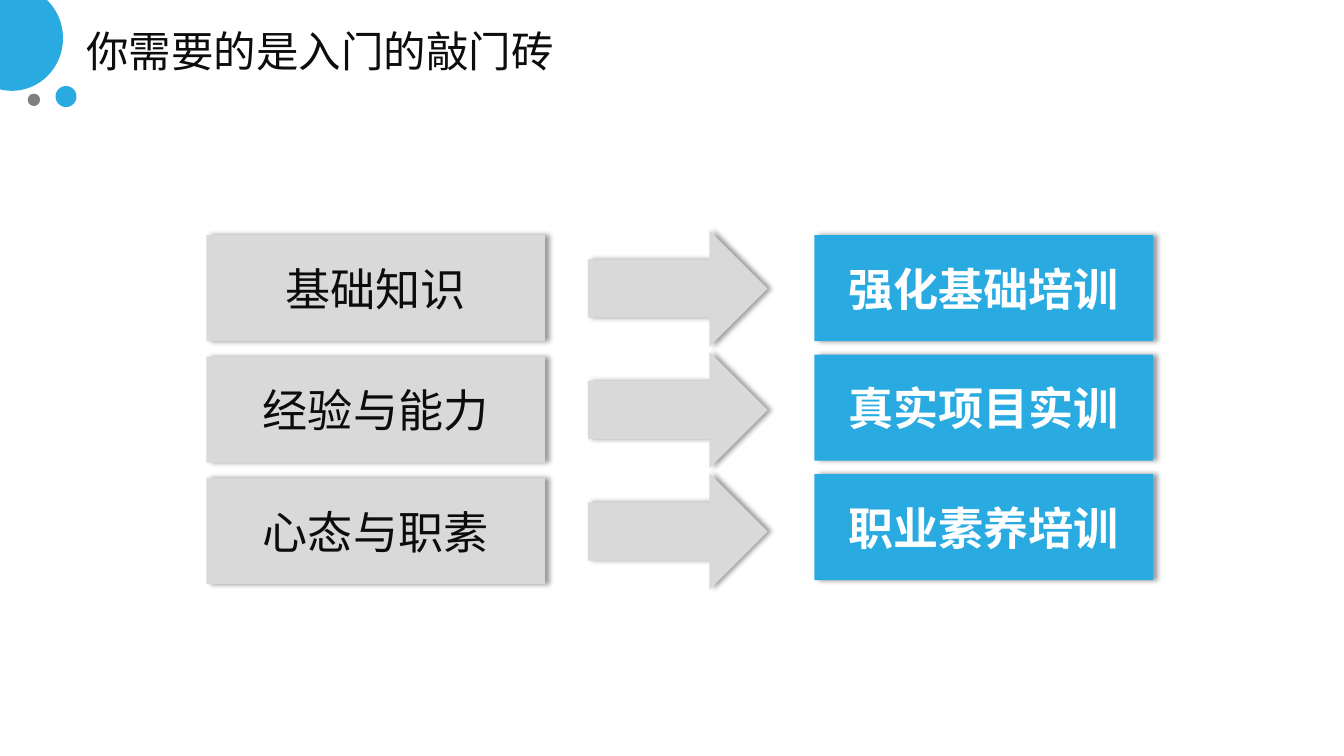
from dataclasses import dataclass

from lxml.etree import SubElement
from pptx import Presentation
from pptx.dml.color import RGBColor
from pptx.enum.shapes import MSO_SHAPE
from pptx.enum.text import MSO_ANCHOR, MSO_AUTO_SIZE, PP_ALIGN
from pptx.oxml.ns import qn
from pptx.shapes.autoshape import Shape
from pptx.slide import Slide
from pptx.text.text import TextFrame
from pptx.util import Inches, Pt

WIDE, HIGH = Inches(14.06), Inches(7.91)
BLUE, GREY, SILVER = "29ABE2", "808080", "D9D9D9"
HAN = "Noto Sans CJK SC"


@dataclass(frozen=True)
class Area:
    """A place on the slide, in percent of its width and height."""
    left: float
    top: float
    width: float
    height: float

    def scale(self) -> tuple[int, int, int, int]:
        return (round(WIDE * self.left / 100), round(HIGH * self.top / 100),
                round(WIDE * self.width / 100), round(HIGH * self.height / 100))


@dataclass(frozen=True)
class Dot:
    area: Area
    fill: str


@dataclass(frozen=True)
class Column:
    """Equal shapes stacked at a fixed pitch, one for each label."""
    kind: MSO_SHAPE
    first: Area
    pitch: float
    fill: str
    labels: tuple[str, ...]
    ink: str = "0C0C0C"
    bold: bool = False


DOTS = (
    Dot(Area(-2.92, -1.9, 7.61, 13.91), BLUE),
    Dot(Area(4.13, 11.38, 1.56, 2.78), BLUE),
    Dot(Area(2.06, 12.39, 0.92, 1.64), GREY),
)
NEEDS = Column(MSO_SHAPE.RECTANGLE, Area(15.36, 31.1, 25.18, 14.03), 16.06, SILVER,
               ("基础知识", "经验与能力", "心态与职素"))
ARROWS = Column(MSO_SHAPE.RIGHT_ARROW, Area(43.74, 30.47, 13.37, 15.42), 16.06, SILVER,
                ("",) * 3)
COURSES = Column(MSO_SHAPE.RECTANGLE, Area(60.6, 31.1, 25.18, 14.03), 15.8, BLUE,
                 ("强化基础培训", "真实项目实训", "职业素养培训"), "FFFFFF", True)


def color(code: str) -> RGBColor:
    return RGBColor.from_string(code)


def write(frame: TextFrame, text: str, size: float, face: str, ink: str,
          align: PP_ALIGN, bold: bool = False) -> None:
    frame.word_wrap = True
    frame.vertical_anchor = MSO_ANCHOR.MIDDLE
    line = frame.paragraphs[0]
    line.alignment = align
    run = line.add_run()
    run.text = text
    font = run.font
    font.size, font.name, font.bold = Pt(size), face, bold
    font.color.rgb = color(ink)
    SubElement(run._r.get_or_add_rPr(), qn("a:ea"), typeface=HAN)


def draw(slide: Slide, kind: MSO_SHAPE, area: Area, fill: str) -> Shape:
    shape = slide.shapes.add_shape(kind, *area.scale())
    shape.shadow.inherit = False
    shape.fill.solid()
    shape.fill.fore_color.rgb = color(fill)
    shape.line.fill.background()
    return shape


def shade(shape: Shape) -> None:
    """Cast a soft black shadow to the right."""
    effects = shape._element.spPr.find(qn("a:effectLst"))
    outer = SubElement(effects, qn("a:outerShdw"), blurRad=str(Pt(4)), dist=str(Pt(3)),
                       dir="0", algn="l", rotWithShape="0")
    black = SubElement(outer, qn("a:srgbClr"), val="000000")
    SubElement(black, qn("a:alpha"), val="40000")


def stack(slide: Slide, column: Column) -> None:
    first = column.first
    for row, label in enumerate(column.labels):
        area = Area(first.left, first.top + row * column.pitch, first.width, first.height)
        shape = draw(slide, column.kind, area, column.fill)
        shade(shape)
        if label:
            frame = shape.text_frame
            frame.margin_left = frame.margin_right = Inches(0.11)
            frame.margin_top = frame.margin_bottom = Inches(0.06)
            write(frame, label, 34, HAN, column.ink, PP_ALIGN.CENTER, column.bold)


def head(slide: Slide, text: str) -> None:
    title = slide.shapes.title
    title.left, title.top, title.width, title.height = Area(6.4, 3.29, 53.77, 6.7).scale()
    frame = title.text_frame
    frame.margin_left = frame.margin_right = frame.margin_top = frame.margin_bottom = 0
    frame.auto_size = MSO_AUTO_SIZE.NONE
    write(frame, text, 32, "Arial", "0D0D0D", PP_ALIGN.LEFT)


def main() -> None:
    deck = Presentation()
    deck.slide_width, deck.slide_height = WIDE, HIGH
    slide = deck.slides.add_slide(deck.slide_layouts.get_by_name("Title Only"))
    for dot in DOTS:
        draw(slide, MSO_SHAPE.OVAL, dot.area, dot.fill)
    head(slide, "你需要的是入门的敲门砖")
    for column in (NEEDS, ARROWS, COURSES):
        stack(slide, column)
    deck.save("out.pptx")


if __name__ == "__main__":
    main()
